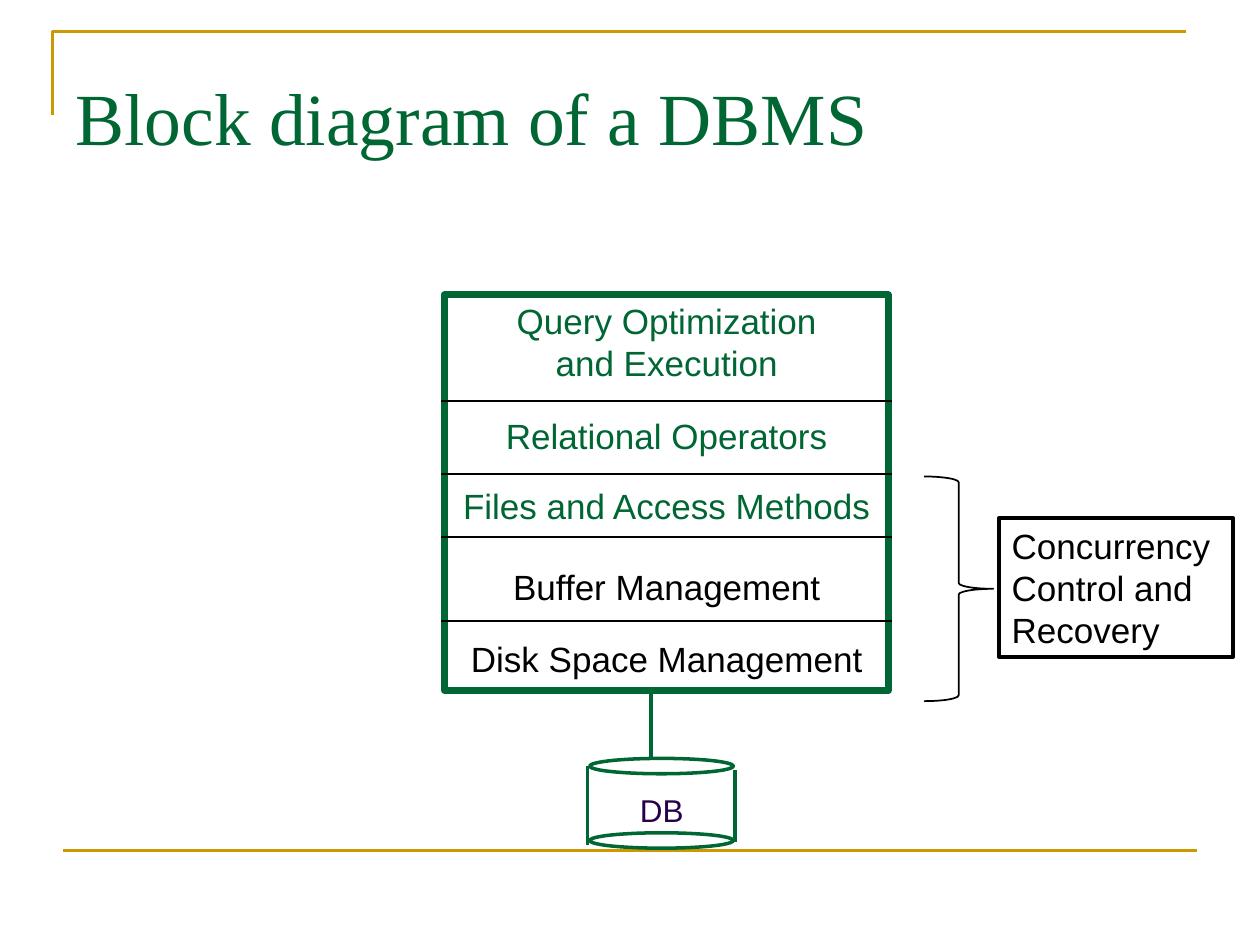
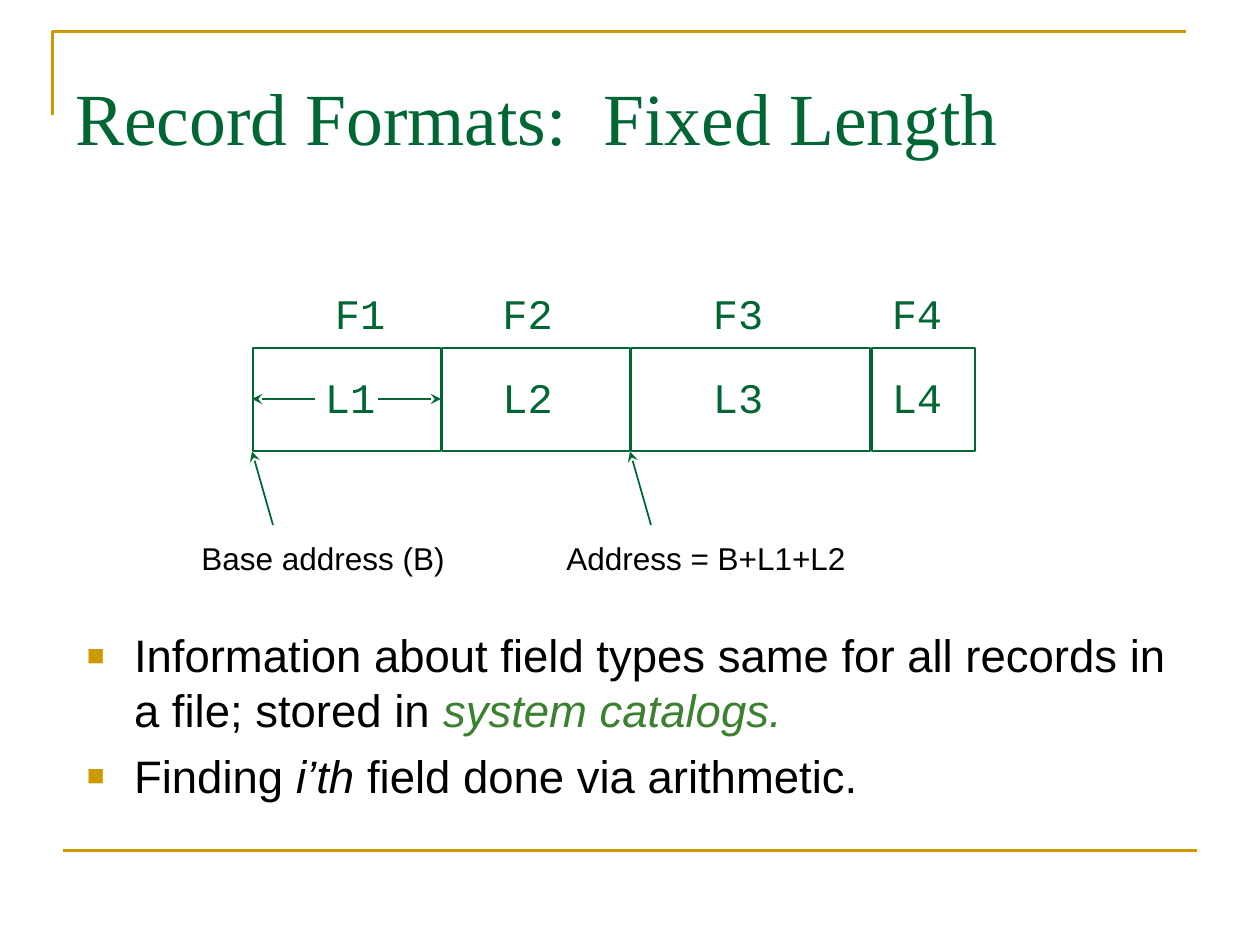
from lxml.etree import SubElement
from pptx import Presentation
from pptx.dml.color import RGBColor
from pptx.enum.shapes import MSO_CONNECTOR, MSO_SHAPE
from pptx.enum.text import MSO_ANCHOR, PP_ALIGN
from pptx.oxml.ns import qn
from pptx.util import Pt

GREEN, GOLD, BLACK = "006633", "CC9900", "000000"
PURPLE, LEAF = "280049", "3B812F"
SERIF, SANS, MONO = "Times New Roman", "Arial", "Courier New"


def color(value):
    return RGBColor.from_string(value)


class Deck:
    """Holds the shared style and the page being drawn; lengths are in points."""

    def __init__(self):
        self.presentation = Presentation()
        self.presentation.slide_width = Pt(720)
        self.presentation.slide_height = Pt(540)
        self.page = None

    def add_page(self, title):
        self.page = self.presentation.slides.add_slide(self.presentation.slide_layouts[6])
        corner = self.page.shapes.build_freeform(Pt(30), Pt(66), scale=1.0)
        corner.add_line_segments([(Pt(30), Pt(18)), (Pt(678), Pt(18))], close=False)
        self.outline(corner.convert_to_shape(), GOLD, 1.5)
        self.line((36, 486), (684, 486), GOLD, 1.5)
        box = self.text(36, 21.6, 648, 90, [title], 42, GREEN, SERIF)
        box.text_frame.vertical_anchor = MSO_ANCHOR.MIDDLE

    def outline(self, shape, line_color, width):
        shape.shadow.inherit = False
        shape.fill.background()
        shape.line.color.rgb = color(line_color)
        shape.line.width = Pt(width)

    def shape(self, kind, left, top, width, height, line_color=GREEN, line_width=1):
        shape = self.page.shapes.add_shape(kind, Pt(left), Pt(top), Pt(width), Pt(height))
        self.outline(shape, line_color, line_width)
        return shape

    def line(self, start, end, line_color=GREEN, width=1, arrow=False):
        line = self.page.shapes.add_connector(
            MSO_CONNECTOR.STRAIGHT, *map(Pt, start), *map(Pt, end))
        line.line.color.rgb = color(line_color)
        line.line.width = Pt(width)
        properties = line._element.spPr
        if arrow:
            SubElement(properties.find(qn("a:ln")), qn("a:tailEnd"), type="stealth")
        SubElement(properties, qn("a:effectLst"))

    def add_span(self, para, words, size, text_color, font=SANS, italic=False):
        span = para.add_run()
        span.text = words
        span.font.size = Pt(size)
        span.font.name = font
        span.font.color.rgb = color(text_color)
        span.font.italic = italic

    def add_lines(self, frame, lines, size, text_color, font=SANS, align=PP_ALIGN.LEFT):
        for index, words in enumerate(lines):
            para = frame.add_paragraph() if index else frame.paragraphs[0]
            para.alignment = align
            self.add_span(para, words, size, text_color, font)

    def text(self, left, top, width, height, lines, size, text_color,
             font=SANS, align=PP_ALIGN.LEFT):
        box = self.page.shapes.add_textbox(Pt(left), Pt(top), Pt(width), Pt(height))
        box.text_frame.word_wrap = False
        self.add_lines(box.text_frame, lines, size, text_color, font, align)
        return box

    def bullets(self, left, top, width, height, items, size):
        """Each item is a list of (words, colour, italic) spans."""
        box = self.page.shapes.add_textbox(Pt(left), Pt(top), Pt(width), Pt(height))
        frame = box.text_frame
        frame.word_wrap = True
        for index, spans in enumerate(items):
            para = frame.add_paragraph() if index else frame.paragraphs[0]
            para.space_before = Pt(6.5)
            properties = para._p.get_or_add_pPr()
            properties.set("marL", str(Pt(27)))
            properties.set("indent", str(-Pt(27)))
            bullet_color = SubElement(properties, qn("a:buClr"))
            SubElement(bullet_color, qn("a:srgbClr"), val=GOLD)
            SubElement(properties, qn("a:buSzPct"), val="65000")
            SubElement(properties, qn("a:buFont"), typeface=SANS)
            SubElement(properties, qn("a:buChar"), char="■")
            for words, text_color, italic in spans:
                self.add_span(para, words, size, text_color, italic=italic)


def draw_block_diagram(deck):
    deck.add_page("Block diagram of a DBMS")
    layers = [
        (167.8, ["Query Optimization", "and Execution"], GREEN),
        (233.3, ["Relational Operators"], GREEN),
        (273.6, ["Files and Access Methods"], GREEN),
        (319.7, ["Buffer Management"], BLACK),
        (360.7, ["Disk Space Management"], BLACK),
    ]
    for top, lines, text_color in layers:
        deck.text(256, top, 250, 24 * len(lines) + 7, lines, 20, text_color,
                  align=PP_ALIGN.CENTER)
    deck.shape(MSO_SHAPE.RECTANGLE, 254, 168.5, 253.5, 226, GREEN, 4)
    for divider in (229, 270.7, 306.7, 355):
        deck.line((252, divider), (510, divider), BLACK)

    for rim in (433.4, 475.9):
        deck.shape(MSO_SHAPE.OVAL, 337, rim, 82, 8.8, GREEN, 2)
    deck.line((335.8, 437.8), (335.8, 483), GREEN, 2)
    deck.line((420, 440), (420, 481), GREEN, 2)
    deck.text(358.6, 448.6, 40, 29, ["DB"], 18, PURPLE)
    deck.line((372, 396.5), (372, 433), GREEN, 2)

    deck.shape(MSO_SHAPE.RIGHT_BRACE, 528, 272.3, 39.6, 128.4, BLACK)
    recovery = deck.shape(MSO_SHAPE.RECTANGLE, 571, 296, 133.5, 79.5, BLACK, 2.25)
    recovery.text_frame.word_wrap = False
    recovery.text_frame.vertical_anchor = MSO_ANCHOR.TOP
    deck.add_lines(recovery.text_frame, ["Concurrency", "Control and", "Recovery"], 20, BLACK)


def draw_record_format(deck):
    deck.add_page("Record Formats:  Fixed Length")
    deck.bullets(42.5, 355, 641, 127.5, [
        [("Information about field types same for all records in a file; stored in ",
          BLACK, False), ("system catalogs.", LEAF, True)],
        [("Finding ", BLACK, False), ("i’th ", BLACK, True),
         ("field done via arithmetic.", BLACK, False)],
    ], 26)

    field_left = 144.7
    fields = [(107, 184.3, 178.6), (107, 280, 280), (136.6, 400.3, 400.3), (59, 502.5, 502.5)]
    for number, (width, name_left, length_left) in enumerate(fields, 1):
        deck.shape(MSO_SHAPE.RECTANGLE, field_left, 198.7, width, 59)
        deck.text(name_left, 160.6, 43, 36, [f"F{number}"], 24, GREEN, MONO)
        deck.text(length_left, 208.8, 43, 36, [f"L{number}"], 24, GREEN, MONO)
        field_left += width + 1

    for start, end in ((180, 144), (216, 252)):
        deck.line((start, 228), (end, 228), arrow=True)
    addresses = [(144, 108, "Base address (B)"), (360, 316.6, "Address = B+L1+L2")]
    for target, label_left, label in addresses:
        deck.line((target + 12, 300), (target, 258), arrow=True)
        deck.text(label_left, 304.2, 175, 29, [label], 18, BLACK)


def main():
    deck = Deck()
    draw_block_diagram(deck)
    draw_record_format(deck)
    deck.presentation.save("out.pptx")


if __name__ == "__main__":
    main()
